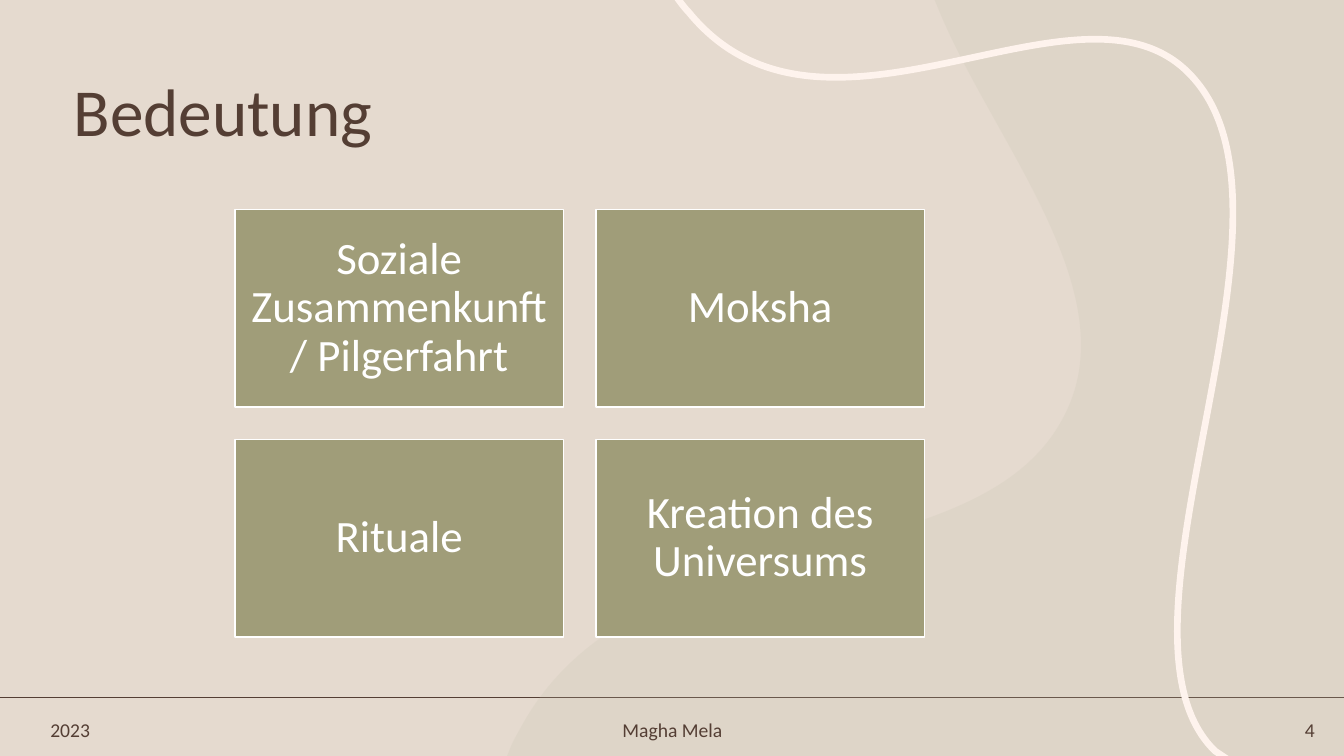
from lxml import etree
from pptx import Presentation
from pptx.dml.color import RGBColor
from pptx.enum.shapes import MSO_CONNECTOR, MSO_SHAPE
from pptx.enum.text import MSO_ANCHOR, MSO_AUTO_SIZE, PP_ALIGN
from pptx.oxml.ns import qn
from pptx.util import Inches, Pt

LINE = MSO_CONNECTOR.STRAIGHT
RECT = MSO_SHAPE.RECTANGLE
MIDDLE = MSO_ANCHOR.MIDDLE
FIXED = MSO_AUTO_SIZE.NONE
LEFT, CENTER, RIGHT = PP_ALIGN.LEFT, PP_ALIGN.CENTER, PP_ALIGN.RIGHT
WIDTH, HEIGHT = 13.33, 7.5
FONT = "Calibri"
BROWN, OLIVE, CREAM, WHITE = "543E34", "A09D79", "FEF3ED", "FFFFFF"

BLOB = [
    [(9.27, 0)],
    [(WIDTH, 0)],
    [(WIDTH, HEIGHT)],
    [(5.03, HEIGHT)],
    [(5.07, 7.4)],
    [(5.11, 7.31), (5.15, 7.25), (5.17, 7.21)],
    [(6.31, 5.12), (9.62, 5.78), (10.52, 4.19)],
    [(11.23, 2.96), (9.88, 1.46), (9.32, 0.12)],
]
RIBBON = [
    [(12.17, 7.53)],
    [(12.14, 7.51)],
    [(12.05, 7.45)],
    [(10.84, 6.27), (13.07, 2.2), (11.85, 0.79)],
    [(10.78, -0.47), (8.2, 1.8), (6.83, 0.12)],
    [(6.8, 0.09), (6.76, 0.04), (6.71, -0.03)],
]


def color(code):
    return RGBColor.from_string(code)


def outline(slide, parts, wide, close):
    ends = [(Inches(x), Inches(y)) for x, y in (part[-1] for part in parts)]
    pen = slide.shapes.build_freeform(*ends[0])
    pen.add_line_segments(ends[1:], close=close)
    shape = pen.convert_to_shape()
    shape.shadow.inherit = False
    shape.width = Inches(wide)
    track = next(shape.element.iter(qn("a:path")))
    track.set("w", str(shape.width))
    for edge, part in zip(track.findall(qn("a:lnTo")), parts[1:]):
        if len(part) == 3:
            bend = etree.Element(qn("a:cubicBezTo"))
            for x, y in part:
                dot = etree.SubElement(bend, qn("a:pt"))
                dot.set("x", str(Inches(x) - shape.left))
                dot.set("y", str(Inches(y) - shape.top))
            track.replace(edge, bend)
    return shape


def write(shape, text, size, code, align, inset, space=1.0):
    frame = shape.text_frame
    frame.text = text
    frame.word_wrap = True
    frame.auto_size = FIXED
    frame.vertical_anchor = MIDDLE
    frame.margin_left = frame.margin_right = Inches(inset)
    frame.margin_top = frame.margin_bottom = Inches(inset)
    line = frame.paragraphs[0]
    line.alignment = align
    line.line_spacing = space
    font = line.runs[0].font
    font.name, font.size = FONT, Pt(size)
    font.color.rgb = color(code)


def draw_back(slide):
    slide.background.fill.solid()
    slide.background.fill.fore_color.rgb = color("E5DACF")
    y = Inches(6.92)
    rule = slide.shapes.add_connector(LINE, 0, y, Inches(WIDTH), y)
    rule.line.color.rgb = color(BROWN)
    rule.line.width = Pt(1.25)
    etree.SubElement(rule.element.spPr, qn("a:effectLst"))

    blob = outline(slide, BLOB, 8.3, True)
    blob.fill.solid()
    blob.fill.fore_color.rgb = color("C6C4AF")
    blob.line.fill.background()
    tint = blob.element.spPr.find(qn("a:solidFill"))[0]
    etree.SubElement(tint, qn("a:alpha")).set("val", "20000")

    ribbon = outline(slide, RIBBON, 5.52, False)
    ribbon.fill.background()
    ribbon.line.color.rgb = color(CREAM)
    ribbon.line.width = Pt(4.75)


def draw_title(slide, text, x, y, w, h):
    title = slide.shapes.title
    title.left, title.top = Inches(x), Inches(y)
    title.width, title.height = Inches(w), Inches(h)
    write(title, text, 48, BROWN, LEFT, 0.1, 0.9)


def draw_cards(slide, names, x, y, w, h):
    gap = 0.32
    wide, high = (w - gap) / 2, (h - gap) / 2
    for index, name in enumerate(names):
        row, col = divmod(index, 2)
        card = slide.shapes.add_shape(
            RECT,
            Inches(x + col * (wide + gap)), Inches(y + row * (high + gap)),
            Inches(wide), Inches(high),
        )
        card.shadow.inherit = False
        card.fill.solid()
        card.fill.fore_color.rgb = color(OLIVE)
        card.line.color.rgb = color(WHITE)
        card.line.width = Pt(1)
        write(card, name, 32, WHITE, CENTER, 0.13, 0.9)


def draw_foot(slide, items, y, h):
    for text, x, w, align in items:
        box = slide.shapes.add_textbox(Inches(x), Inches(y), Inches(w), Inches(h))
        write(box, text, 14, BROWN, align, 0.1)


def main():
    deck = Presentation()
    deck.slide_width, deck.slide_height = Inches(WIDTH), Inches(HEIGHT)
    slide = deck.slides.add_slide(deck.slide_layouts[5])
    draw_back(slide)
    draw_title(slide, "Bedeutung", 0.63, 0.77, 11.5, 0.74)
    names = [
        "Soziale Zusammenkunft/ Pilgerfahrt",
        "Moksha",
        "Rituale",
        "Kreation des Universums",
    ]
    draw_cards(slide, names, 2.33, 2.08, 6.84, 4.24)
    items = [
        ("2023", 0.4, 1.08, LEFT),
        ("Magha Mela", 4.79, 3.76, CENTER),
        ("4", 12.06, 1.08, RIGHT),
    ]
    draw_foot(slide, items, 7.07, 0.34)
    deck.save("out.pptx")


if __name__ == "__main__":
    main()
